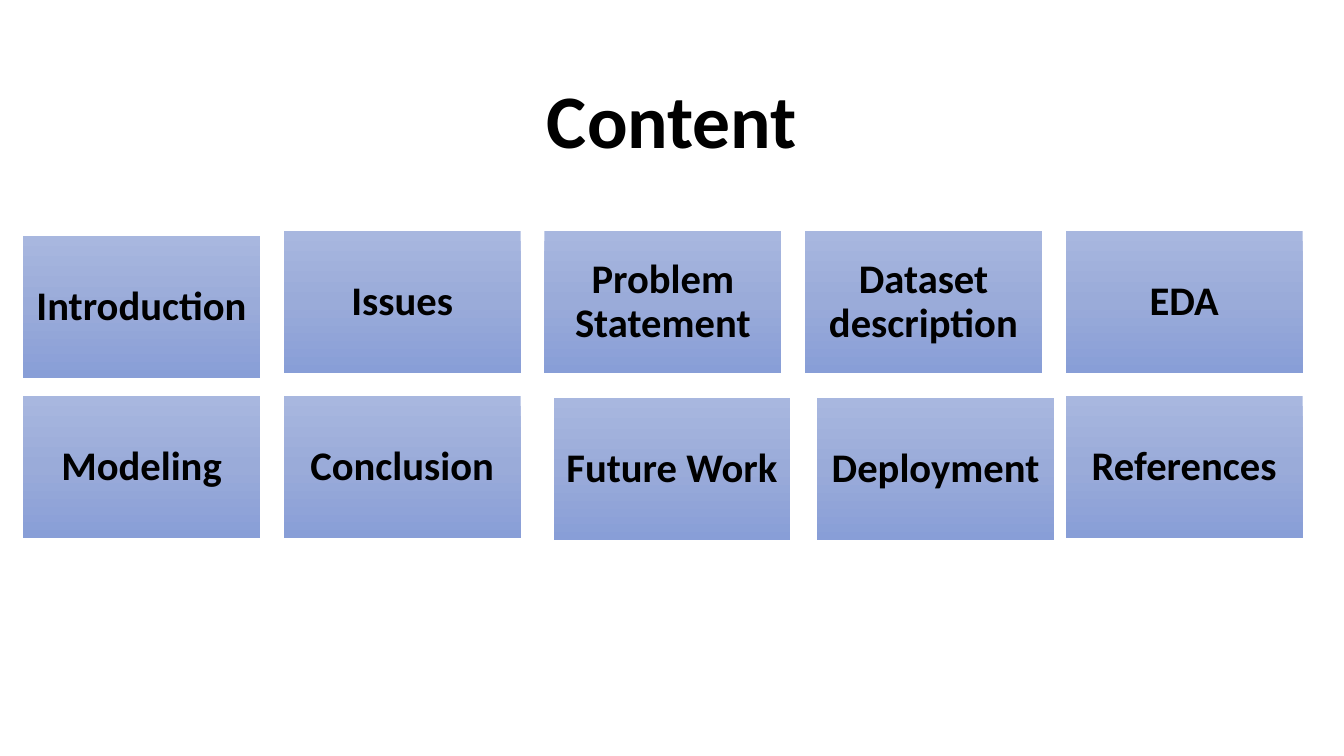
from copy import deepcopy

from pptx import Presentation
from pptx.dml.color import RGBColor
from pptx.enum.shapes import MSO_SHAPE
from pptx.enum.text import MSO_ANCHOR, PP_ALIGN
from pptx.util import Inches, Pt

RECTANGLE = MSO_SHAPE.RECTANGLE
MIDDLE = MSO_ANCHOR.MIDDLE
CENTER = PP_ALIGN.CENTER

# Content: each topic with its shift (x, y) from the grid
TITLE = "Content"
TOPIC_ROWS = [
    [("Introduction", 0, 0.05), ("Issues", 0, 0), ("Problem Statement", 0, 0),
     ("Dataset description", 0, 0), ("EDA", 0, 0)],
    [("Modeling", 0, 0), ("Conclusion", 0, 0), ("Future Work", 0.09, 0.02),
     ("Deployment", 0.12, 0.02), ("References", 0, 0)],
]

# Layout and style
GRID_LEFT, GRID_TOP = 0.23, 2.29
COLUMN_STEP, ROW_STEP = 2.585, 1.64
TILE_WIDTH, TILE_HEIGHT, TILE_INSET = 2.35, 1.41, 0.12
TILE_GRADIENT = ["A8B7DF", "9AABD9", "889ED7"]
TEXT_COLOR = "000000"
FONT = "Calibri"


def color(hex_value):
    return RGBColor.from_string(hex_value)


def write(frame, text, size):
    frame.text = text
    paragraph = frame.paragraphs[0]
    paragraph.alignment = CENTER
    font = paragraph.runs[0].font
    font.name, font.size, font.bold = FONT, Pt(size), True
    font.color.rgb = color(TEXT_COLOR)
    return paragraph


def fill_gradient(fill):
    fill.gradient()
    fill.gradient_angle = 270
    # The default gradient has two stops; add the middle one
    stop_list = fill._fill._gradFill.gsLst
    stop_list.insert(1, deepcopy(stop_list[0]))
    last = len(TILE_GRADIENT) - 1
    for i, (stop, hex_value) in enumerate(zip(fill.gradient_stops, TILE_GRADIENT)):
        stop.position = i / last
        stop.color.rgb = color(hex_value)


def add_tile(slide, topic, left, top):
    tile = slide.shapes.add_shape(RECTANGLE, Inches(left), Inches(top),
                                  Inches(TILE_WIDTH), Inches(TILE_HEIGHT))
    tile.shadow.inherit = False
    tile.line.fill.background()
    fill_gradient(tile.fill)
    frame = tile.text_frame
    frame.word_wrap = True
    frame.vertical_anchor = MIDDLE
    frame.margin_left = frame.margin_right = Inches(TILE_INSET)
    frame.margin_top = frame.margin_bottom = Inches(TILE_INSET)
    write(frame, topic, 29).line_spacing = 0.9


def main():
    deck = Presentation()
    deck.slide_width, deck.slide_height = Inches(13.33), Inches(7.5)
    slide = deck.slides.add_slide(deck.slide_layouts[6])

    # Topic tiles
    for row, topics in enumerate(TOPIC_ROWS):
        for column, (topic, shift_x, shift_y) in enumerate(topics):
            add_tile(slide, topic,
                     GRID_LEFT + column * COLUMN_STEP + shift_x,
                     GRID_TOP + row * ROW_STEP + shift_y)

    # Title
    title = slide.shapes.add_textbox(Inches(5.31), Inches(0.67),
                                     Inches(2.71), Inches(1.01))
    title.text_frame.word_wrap = False
    write(title.text_frame, TITLE, 54)

    deck.save("out.pptx")


if __name__ == "__main__":
    main()
